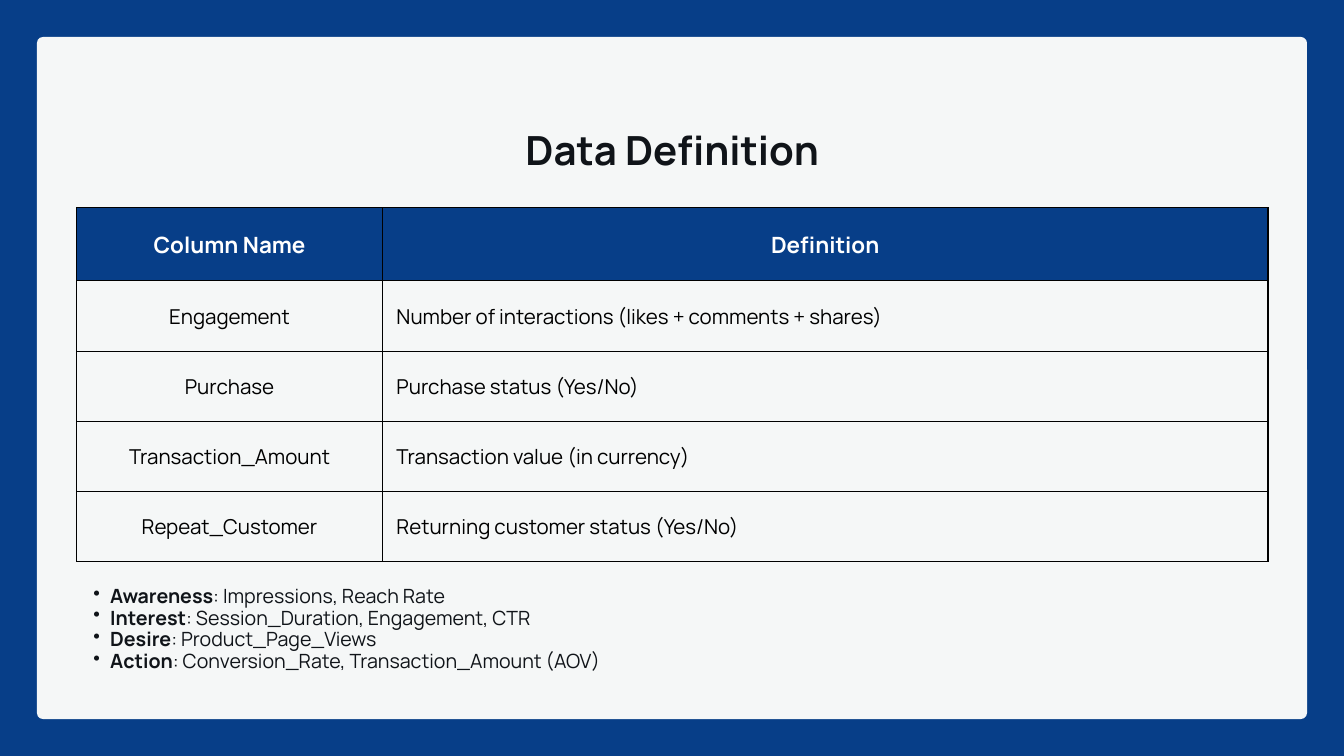
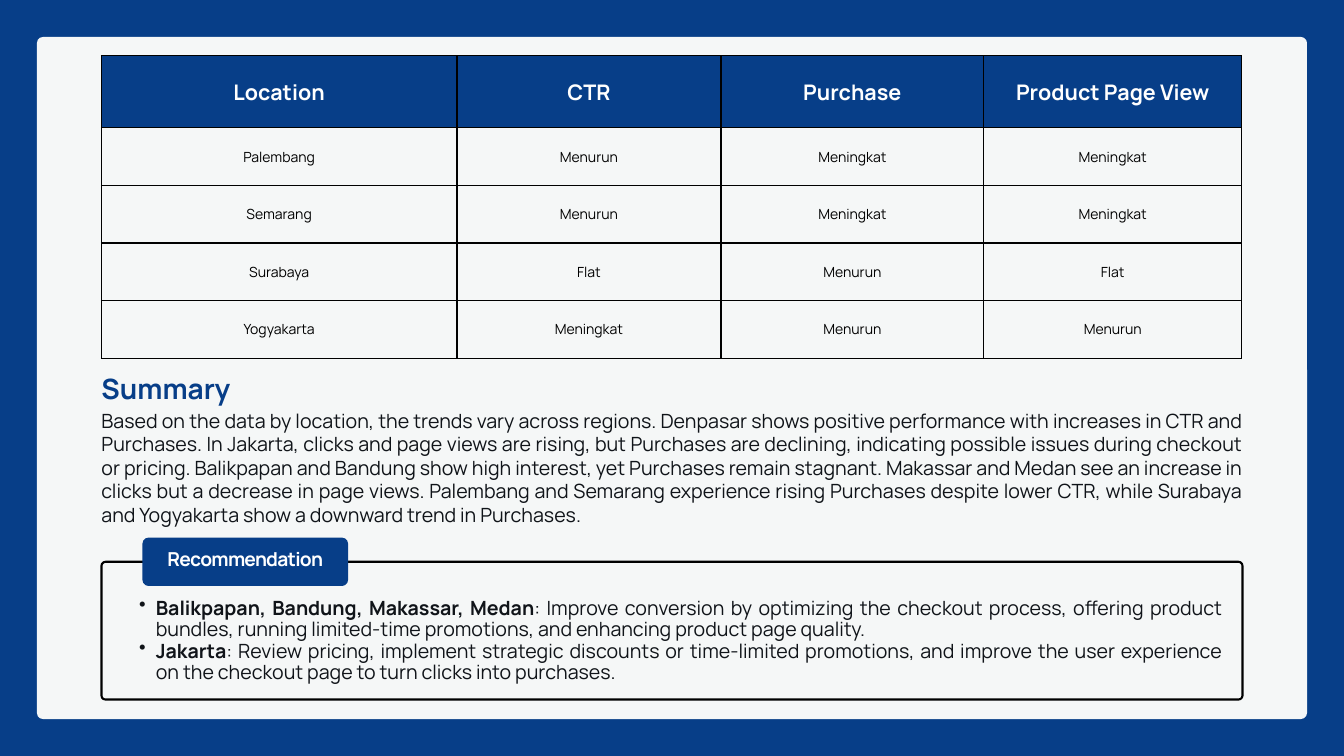
from pptx import Presentation
from pptx.dml.color import RGBColor
from pptx.enum import shapes, text
from pptx.oxml import ns, xmlchemy as xml
from pptx.util import Inches, Pt

BLUE = RGBColor(0x07, 0x3E, 0x88)
PAPER = RGBColor(0xF5, 0xF7, 0xF7)
INK = RGBColor(0x10, 0x14, 0x19)
BLACK = RGBColor(0, 0, 0)
WHITE = RGBColor(255, 255, 255)
FACE = "Manrope"
LEFT, MID, FULL = text.PP_ALIGN.LEFT, text.PP_ALIGN.CENTER, text.PP_ALIGN.JUSTIFY
WIDE, HIGH, EDGE = 20, 11.25, 0.55

TERMS = [
    ("Column Name", "Definition"),
    ("Engagement", "Number of interactions (likes + comments + shares)"),
    ("Purchase", "Purchase status (Yes/No)"),
    ("Transaction_Amount", "Transaction value (in currency)"),
    ("Repeat_Customer", "Returning customer status (Yes/No)"),
]
STAGES = [
    ("Awareness", "Impressions, Reach Rate"),
    ("Interest", "Session_Duration, Engagement, CTR"),
    ("Desire", "Product_Page_Views"),
    ("Action", "Conversion_Rate, Transaction_Amount (AOV)"),
]
TRENDS = [
    ("Location", "CTR", "Purchase", "Product Page View"),
    ("Palembang", "Menurun", "Meningkat", "Meningkat"),
    ("Semarang", "Menurun", "Meningkat", "Meningkat"),
    ("Surabaya", "Flat", "Menurun", "Flat"),
    ("Yogyakarta", "Meningkat", "Menurun", "Menurun"),
]
SUMMARY = (
    "Based on the data by location, the trends vary across regions. "
    "Denpasar shows positive performance with increases in CTR and Purchases. "
    "In Jakarta, clicks and page views are rising, but Purchases are declining, "
    "indicating possible issues during checkout or pricing. "
    "Balikpapan and Bandung show high interest, yet Purchases remain stagnant. "
    "Makassar and Medan see an increase in clicks but a decrease in page views. "
    "Palembang and Semarang experience rising Purchases despite lower CTR, "
    "while Surabaya and Yogyakarta show a downward trend in Purchases."
)
ADVICE = [
    ("Balikpapan, Bandung, Makassar, Medan",
     "Improve conversion by optimizing the checkout process, offering product "
     "bundles, running limited-time promotions, and enhancing product page quality."),
    ("Jakarta",
     "Review pricing, implement strategic discounts or time-limited promotions, "
     "and improve the user experience on the checkout page to turn clicks into purchases."),
]


def style(para, size, color, lead, align=LEFT, bold=False):
    para.alignment = align
    para.line_spacing = Pt(lead)
    font = para.font
    font.name, font.size, font.bold = FACE, Pt(size), bold
    font.color.rgb = color


def panel(slide, box, radius, fill, line=None):
    shape = slide.shapes.add_shape(
        shapes.MSO_SHAPE.ROUNDED_RECTANGLE, *map(Inches, box))
    shape.adjustments[0] = radius / min(box[2:])
    shape.shadow.inherit = False
    shape.fill.solid()
    shape.fill.fore_color.rgb = fill
    if line is None:
        shape.line.fill.background()
    else:
        shape.line.color.rgb = line
        shape.line.width = Pt(2.25)


def frame(slide, box):
    body = slide.shapes.add_textbox(*map(Inches, box)).text_frame
    body.word_wrap = True
    body.margin_left = body.margin_right = body.margin_top = body.margin_bottom = 0
    return body


def label(slide, box, words, *look):
    para = frame(slide, box).paragraphs[0]
    run = para.add_run()
    run.text = words
    style(para, *look)
    return run


def bullets(slide, box, items):
    body = frame(slide, box)
    for num, (head, rest) in enumerate(items):
        para = body.add_paragraph() if num else body.paragraphs[0]
        para.level = 1
        props = para._p.get_or_add_pPr()
        props.set("marL", str(Inches(0.5)))
        props.set("indent", str(Inches(-0.25)))
        mark = xml.OxmlElement("a:buChar")
        mark.set("char", "•")
        props.append(mark)
        style(para, 21, INK, 23.1, FULL)
        lead = para.add_run()
        lead.text = head
        lead.font.bold = True
        para.add_run().text = ": " + rest


def border(cell):
    props = cell._tc.get_or_add_tcPr()
    for side in ("lnL", "lnR", "lnT", "lnB"):
        line = xml.OxmlElement("a:" + side)
        line.set("w", str(Pt(1.5)))
        fill = xml.OxmlElement("a:solidFill")
        color = xml.OxmlElement("a:srgbClr")
        color.set("val", str(BLACK))
        fill.append(color)
        line.append(fill)
        props.append(line)


def grid(slide, box, rows, cols, top, head, size, aligns):
    table = slide.shapes.add_table(len(rows), len(cols), *map(Inches, box)).table
    table.first_row = table.horz_banding = False
    for col, width in zip(table.columns, cols):
        col.width = Inches(width)
    step = (box[3] - top) / (len(rows) - 1)
    for r, row in enumerate(rows):
        table.rows[r].height = Inches(step if r else top)
        for c, words in enumerate(row):
            cell = table.cell(r, c)
            border(cell)
            cell.vertical_anchor = text.MSO_ANCHOR.MIDDLE
            cell.margin_left = cell.margin_right = Inches(0.21)
            cell.margin_top = cell.margin_bottom = Inches(0.21)
            cell.text = words
            para = cell.text_frame.paragraphs[0]
            if r:
                cell.fill.background()
                style(para, size, BLACK, size * 1.4, aligns[c])
            else:
                cell.fill.solid()
                cell.fill.fore_color.rgb = BLUE
                style(para, head, WHITE, head * 1.4, MID, True)


def advise(slide, box, items):
    x, y, w, h = box
    panel(slide, box, 0.06, PAPER, BLACK)
    panel(slide, (x + 0.61, y - 0.36, 3.06, 0.72), 0.09, BLUE)
    run = label(slide, (x + 0.75, y - 0.19, 2.78, 0.34), "Recommendation",
                20.6, WHITE, 22.7, MID, True)
    run._r.get_or_add_rPr().set("spc", "-80")
    bullets(slide, (x + 0.31, y + 0.53, w - 0.61, 1.28), items)


def page(deck):
    slide = deck.slides.add_slide(deck.slide_layouts[6])
    slide.background.fill.solid()
    slide.background.fill.fore_color.rgb = BLUE
    panel(slide, (EDGE, EDGE, WIDE - 2 * EDGE, HIGH - 2 * EDGE), 0.09, PAPER)
    return slide


def define(deck):
    slide = page(deck)
    x, w = 1.14, 17.73
    grid(slide, (x, 3.09, w, 5.27), TERMS, (4.55, 13.18), 1.09, 24, 22, (MID, LEFT))
    label(slide, (x, 1.99, w, 0.65), "Data Definition", 43, INK, 43, MID, True)
    bullets(slide, (x, 8.72, w, 1.28), STAGES)


def review(deck):
    slide = page(deck)
    x, w = 1.51, 16.98
    grid(slide, (x, 0.83, w, 4.5), TRENDS, (5.29, 3.93, 3.91, 3.84),
         1.07, 23, 15, [MID] * 4)
    label(slide, (x, 6.08, w, 1.74), SUMMARY, 21, INK, 25.2, FULL)
    label(slide, (x, 5.61, 7.58, 0.45), "Summary", 30, BLUE, 30, LEFT, True)
    advise(slide, (x, 8.36, w, 2.05), ADVICE)


def main():
    deck = Presentation()
    deck.slide_width, deck.slide_height = Inches(WIDE), Inches(HIGH)
    define(deck)
    review(deck)
    deck.save("out.pptx")


if __name__ == "__main__":
    main()
